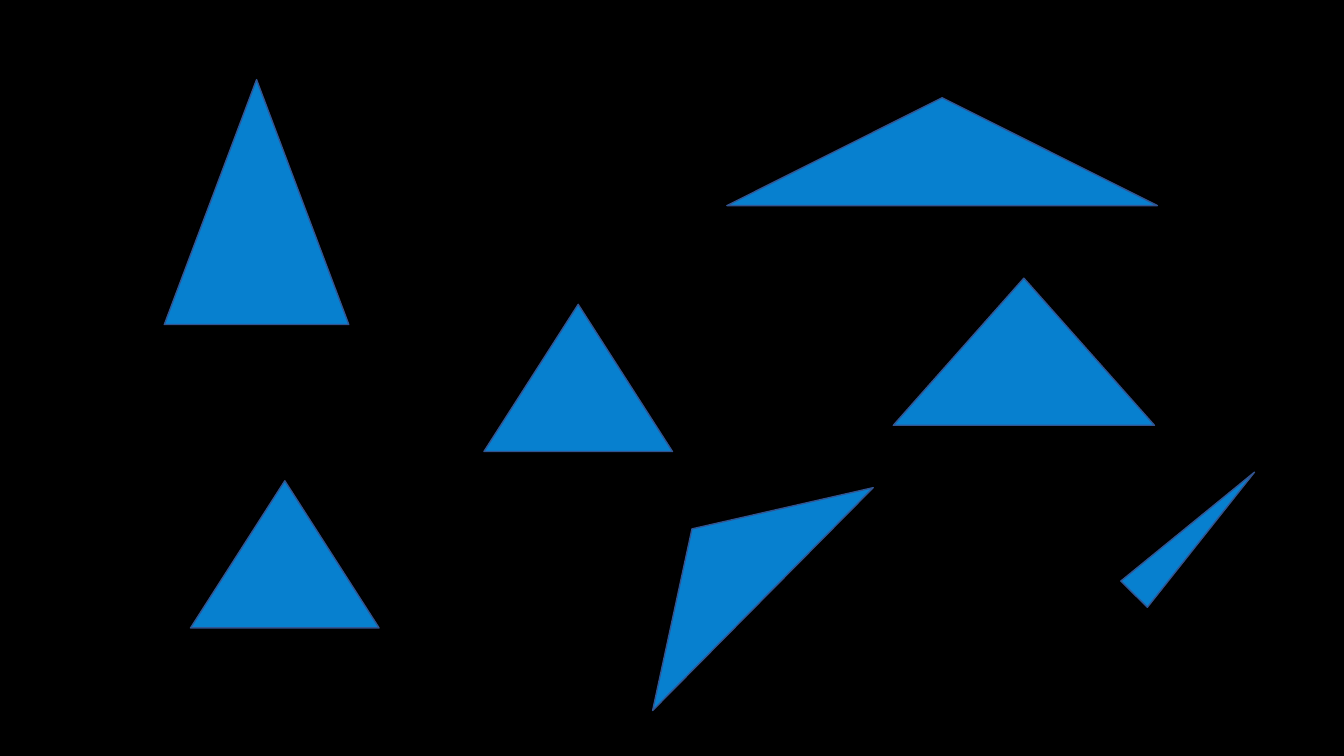
import pptx
import pptx.dml.color
import pptx.enum.shapes
import pptx.util

Inches = pptx.util.Inches

TRIANGLES = [
    {"at": (1.63, 0.79), "size": (1.83, 2.43), "turn": 0},
    {"at": (7.21, 0.97), "size": (4.27, 1.07), "turn": 0},
    {"at": (4.8, 3.02), "size": (1.87, 1.46), "turn": 0},
    {"at": (1.89, 4.77), "size": (1.87, 1.46), "turn": 0},
    {"at": (11.66, 4.44), "size": (0.37, 1.7), "turn": 44.6},
    {"at": (8.86, 2.76), "size": (2.59, 1.46), "turn": 0},
    {"at": (5.66, 5.1), "size": (3.11, 0.99), "turn": 314.7},
]

THEME = {
    "background": pptx.dml.color.RGBColor.from_string("000000"),
    "fill": pptx.dml.color.RGBColor.from_string("0780CF"),
    "outline": pptx.dml.color.RGBColor.from_string("325491"),
    "outline_width": pptx.util.Pt(1),
}


def add_triangle(page, at, size, turn):
    triangle = page.shapes.add_shape(
        pptx.enum.shapes.MSO_SHAPE.ISOSCELES_TRIANGLE,
        *(Inches(length) for length in at + size),
    )
    triangle.rotation = turn
    triangle.shadow.inherit = False
    triangle.fill.solid()
    triangle.fill.fore_color.rgb = THEME["fill"]
    triangle.line.color.rgb = THEME["outline"]
    triangle.line.width = THEME["outline_width"]


def main():
    deck = pptx.Presentation()
    deck.slide_width = Inches(13.33)
    deck.slide_height = Inches(7.5)
    page = deck.slides.add_slide(deck.slide_layouts[6])
    page.background.fill.solid()
    page.background.fill.fore_color.rgb = THEME["background"]
    for triangle in TRIANGLES:
        add_triangle(page, **triangle)
    deck.save("out.pptx")


if __name__ == "__main__":
    main()
